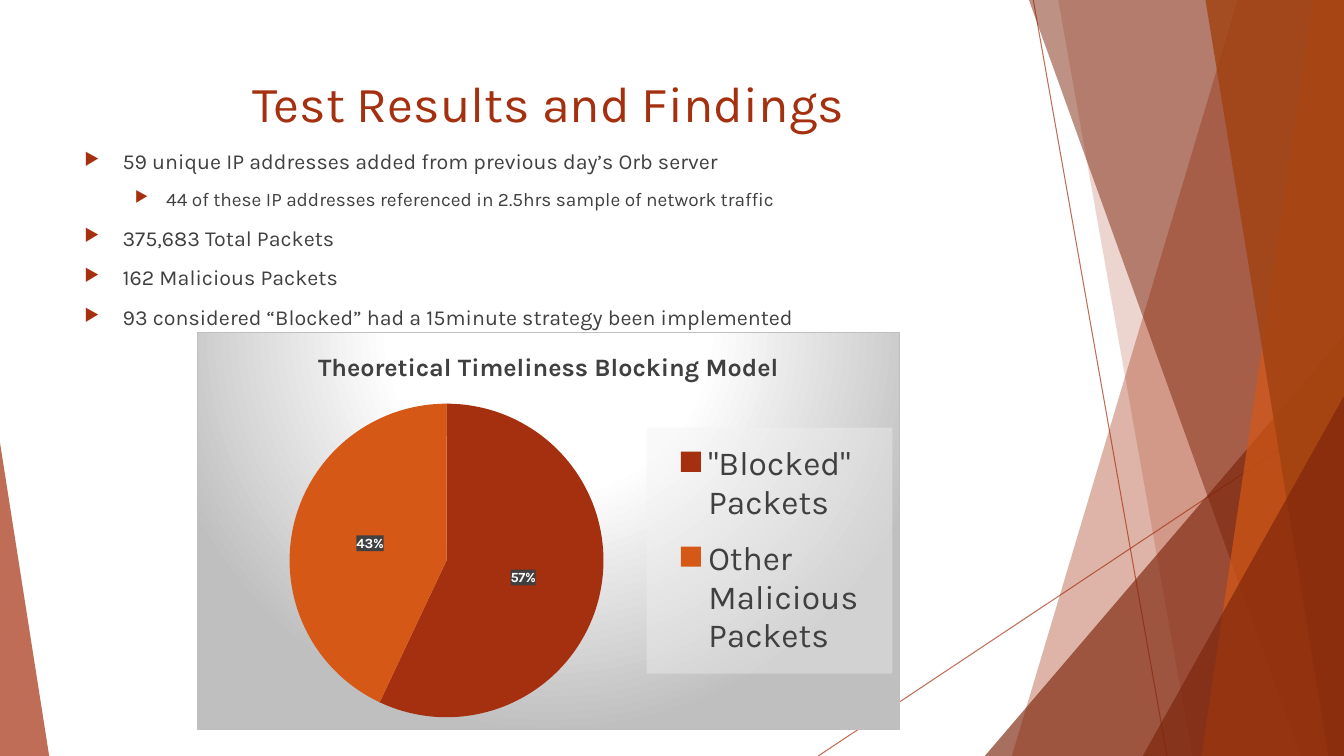
from lxml import etree
from pptx import Presentation
from pptx.chart.data import CategoryChartData
from pptx.dml.color import RGBColor
from pptx.enum.chart import XL_CHART_TYPE, XL_LABEL_POSITION, XL_LEGEND_POSITION
from pptx.enum.shapes import MSO_CONNECTOR, MSO_SHAPE
from pptx.enum.text import MSO_ANCHOR, PP_ALIGN
from pptx.oxml.ns import nsdecls, qn
from pptx.util import Cm, Pt

PIE = XL_CHART_TYPE.PIE
MID = XL_LABEL_POSITION.CENTER
RIGHT = XL_LEGEND_POSITION.RIGHT
LINE = MSO_CONNECTOR.STRAIGHT
WEDGE = MSO_SHAPE.ISOSCELES_TRIANGLE
TOP = MSO_ANCHOR.TOP
LEFT, CENTER = PP_ALIGN.LEFT, PP_ALIGN.CENTER

RUST = RGBColor(0xA5, 0x30, 0x0F)
DARK = RGBColor(0x7C, 0x24, 0x0B)
ORANGE = RGBColor(0xD5, 0x58, 0x16)
BROWN = RGBColor(0xA0, 0x42, 0x10)
GRAY = RGBColor(0x40, 0x40, 0x40)
WHITE = RGBColor(0xFF, 0xFF, 0xFF)
FONT = "Karla"
WIDE, HIGH = 33.87, 19.05

TITLE = "Test Results and Findings"
POINTS = [
    (0, "59 unique IP addresses added from previous day’s Orb server"),
    (1, "44 of these IP addresses referenced in 2.5hrs sample of network traffic"),
    (0, "375,683 Total Packets"),
    (0, "162 Malicious Packets"),
    (0, "93 considered “Blocked” had a 15minute strategy been implemented"),
]
LEVELS = [(15.3, 0.96, -0.96), (13.6, 2.06, -0.79)]
HEAD = "Theoretical Timeliness Blocking Model"
SHARES = [('"Blocked" Packets', 57, RUST), ("Other Malicious Packets", 43, ORANGE)]

RAYS = [(26.04, 0, 29.41, HIGH), (WIDE, 10.24, 20.62, HIGH)]
FACETS = [
    ("band", (31.19, 25.5), RUST, 36),
    ("band", (26.67, 30.05), RUST, 20),
    ("wedge", (24.82, 8.46, 9.05, 1), DARK, 66),
    ("band", (25.93, 32.79), DARK, 50),
    ("band", (33.1, 30.28), ORANGE, 70),
    ("band", (30.38, 33.48), BROWN, 80),
    ("wedge", (28.8, 9.98, 5.07, 1), DARK, 66),
    ("wedge", (0, 11.15, 1.24, 0), RUST, 70),
]

deck = Presentation()
deck.slide_width, deck.slide_height = Cm(WIDE), Cm(HIGH)
slide = deck.slides.add_slide(deck.slide_layouts[6])
shapes = slide.shapes


def fade(part, alpha):
    for color in part.iter(qn("a:srgbClr")):
        etree.SubElement(color, qn("a:alpha")).set("val", str(alpha * 1000))


def style(font, size, color, bold=False):
    font.name, font.size, font.bold = FONT, Pt(size), bold
    font.color.rgb = color


def write(para, text, size=18, color=GRAY, bold=False, align=LEFT):
    run = para.add_run()
    run.text = text
    style(run.font, size, color, bold)
    para.alignment = align


def frame(x, y, w, h):
    body = shapes.add_textbox(Cm(x), Cm(y), Cm(w), Cm(h)).text_frame
    body.word_wrap = True
    body.vertical_anchor = TOP
    return body


def bullet(para, left, indent):
    props = para._p.get_or_add_pPr()
    props.set("marL", str(Cm(left)))
    props.set("indent", str(Cm(indent)))
    color = etree.SubElement(props, qn("a:buClr"))
    etree.SubElement(color, qn("a:srgbClr")).set("val", str(RUST))
    etree.SubElement(props, qn("a:buSzPct")).set("val", "80000")
    etree.SubElement(props, qn("a:buChar")).set("char", "▶")


def paint(fill, line=""):
    return etree.fromstring(f"<c:spPr {nsdecls('c', 'a')}>{fill}{line}</c:spPr>")


def solid(color, alpha):
    return (f'<a:solidFill><a:srgbClr val="{color}">'
            f'<a:alpha val="{alpha * 1000}"/></a:srgbClr></a:solidFill>')


def layout(x, y, w, h, inner=False):
    target = '<c:layoutTarget val="inner"/>' if inner else ""
    sizes = "".join(f'<c:{key} val="{val}"/>' for key, val in zip("xywh", (x, y, w, h)))
    return etree.fromstring(
        f"<c:layout {nsdecls('c')}><c:manualLayout>{target}"
        f'<c:xMode val="edge"/><c:yMode val="edge"/>{sizes}'
        "</c:manualLayout></c:layout>")


for x, y, end, base in RAYS:
    ray = shapes.add_connector(LINE, Cm(x), Cm(y), Cm(end), Cm(base))
    ray.line.color.rgb = RUST
    ray.line.width = Pt(0.75)
    props = ray._element.spPr
    fade(props, 70)
    etree.SubElement(props, qn("a:effectLst"))

for kind, place, color, alpha in FACETS:
    if kind == "band":
        top, base = place
        pen = shapes.build_freeform(Cm(top), 0)
        pen.add_line_segments(
            [(Cm(WIDE), 0), (Cm(WIDE), Cm(HIGH)), (Cm(base), Cm(HIGH))], close=True)
        facet = pen.convert_to_shape()
    else:
        x, y, w, apex = place
        facet = shapes.add_shape(WEDGE, Cm(x), Cm(y), Cm(w), Cm(HIGH - y))
        facet.adjustments[0] = apex
    facet.shadow.inherit = False
    facet.fill.solid()
    facet.fill.fore_color.rgb = color
    facet.line.fill.background()
    fade(facet._element.spPr, alpha)

body = frame(1.88, 3.61, 23.88, 4.34)
for row, (level, text) in enumerate(POINTS):
    para = body.add_paragraph() if row else body.paragraphs[0]
    size, left, indent = LEVELS[level]
    para.level = level
    para.space_before = Pt(10)
    write(para, text, size=size)
    bullet(para, left, indent)

write(frame(1.88, 1.7, 23.88, 3.66).paragraphs[0], TITLE,
      size=36, color=RUST, align=CENTER)

data = CategoryChartData()
data.categories = [name for name, share, color in SHARES]
data.add_series("Series 1", [share for name, share, color in SHARES])
chart = shapes.add_chart(PIE, Cm(4.96), Cm(8.36), Cm(17.72), Cm(10.03), data).chart
style(chart.font, 10, GRAY)
chart.has_title = True
write(chart.chart_title.text_frame.paragraphs[0], HEAD, bold=True, align=CENTER)
chart.chart_title.include_in_layout = False

plot = chart.plots[0]
plot.vary_by_categories = True
for spot, (name, share, color) in enumerate(SHARES):
    fill = plot.series[0].points[spot].format.fill
    fill.solid()
    fill.fore_color.rgb = color

labels = plot.series[0].data_labels
labels.show_percentage = True
labels.show_value = False
labels.show_legend_key = False
labels.number_format = "0%"
labels.number_format_is_linked = False
labels.position = MID
style(labels.font, 10, WHITE, True)
labels._element.find(qn("c:numFmt")).addnext(paint(solid(GRAY, 75)))

chart.has_legend = True
legend = chart.legend
legend.position = RIGHT
legend.include_in_layout = False
style(legend.font, 24, GRAY)
key = legend._element
for old in key.findall(qn("c:layout")):
    key.remove(old)
key.find(qn("c:legendPos")).addnext(layout(0.64, 0.24, 0.35, 0.62))
key.find(qn("c:overlay")).addnext(paint(solid("F2F2F2", 39)))

space = chart._chartSpace
area = space.find(qn("c:chart")).find(qn("c:plotArea"))
for old in area.findall(qn("c:layout")):
    area.remove(old)
area.insert(0, layout(0.13, 0.18, 0.45, 0.79, inner=True))

stops = "".join(f'<a:gs pos="{pos * 1000}"><a:srgbClr val="{color}"/></a:gs>'
                for pos, color in [(0, "FFFFFF"), (39, "FFFFFF"), (100, "BFBFBF")])
glow = (f'<a:gradFill><a:gsLst>{stops}</a:gsLst><a:path path="circle">'
        '<a:fillToRect l="50000" t="-80000" r="50000" b="180000"/></a:path></a:gradFill>')
edge = f'<a:ln w="{Pt(0.75)}">{solid("BFBFBF", 100)}</a:ln>'
space.find(qn("c:chart")).addnext(paint(glow, edge))

deck.save("out.pptx")
